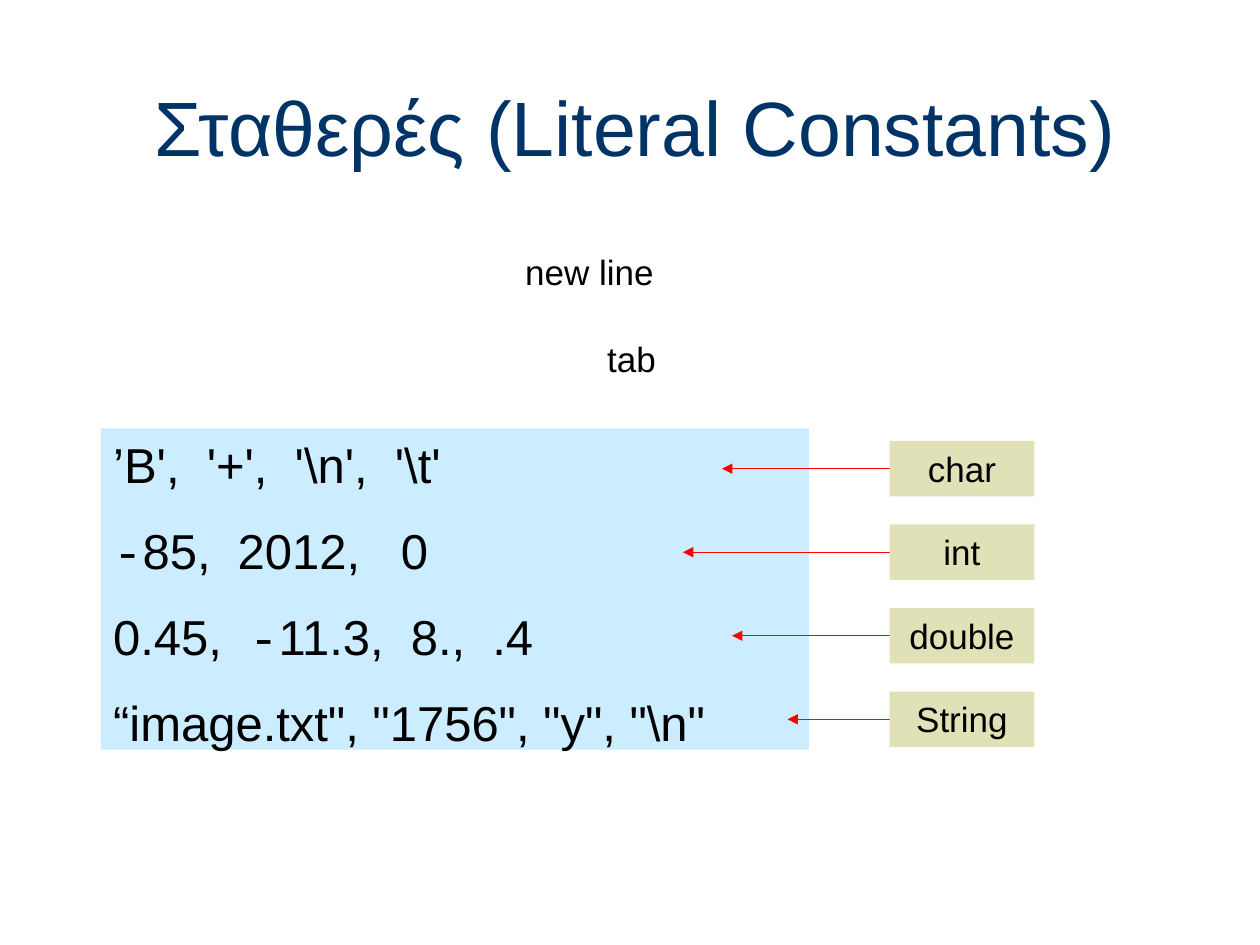
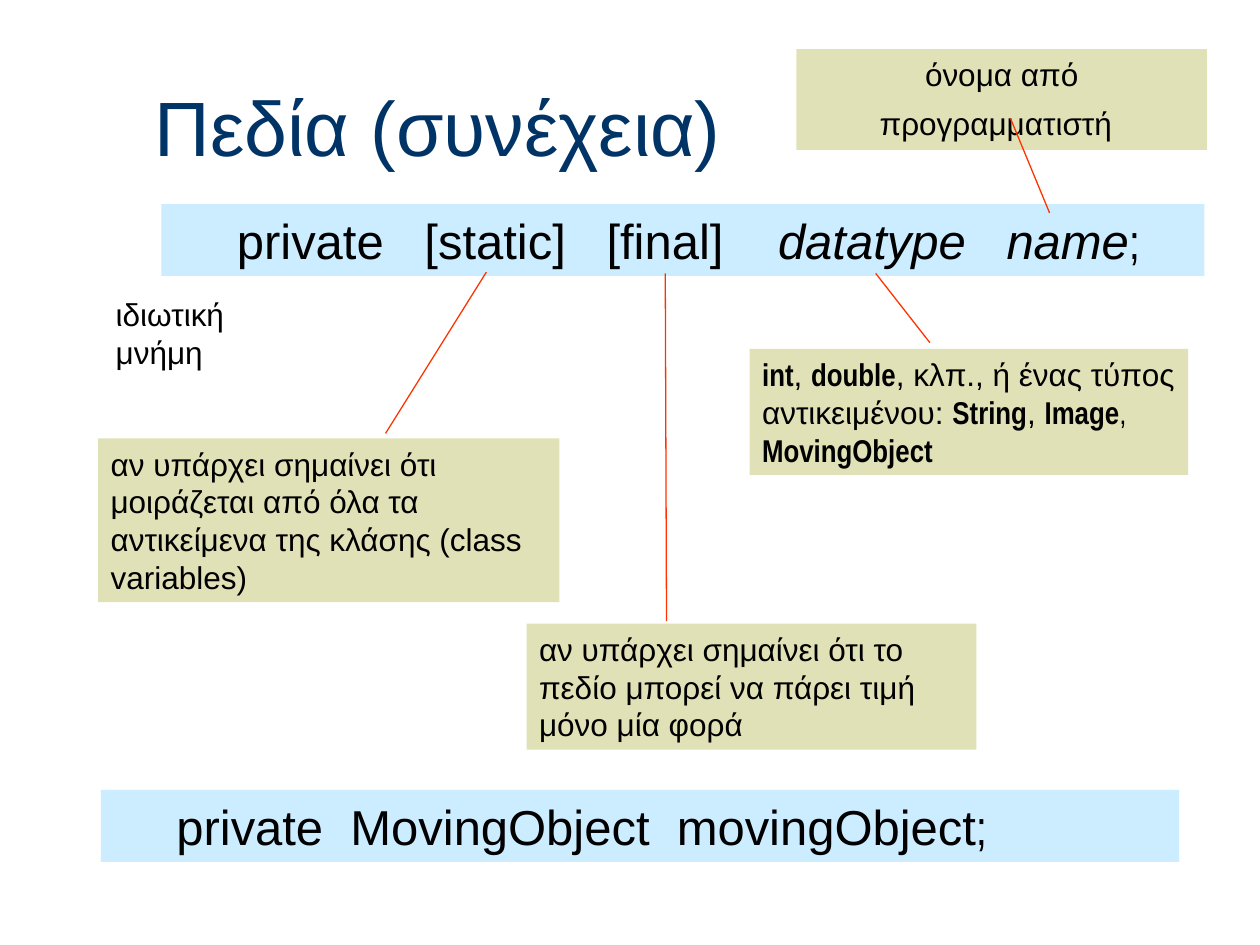
from lxml import etree
from pptx import Presentation
from pptx.dml.color import RGBColor
from pptx.enum import shapes, text
from pptx.oxml import ns
from pptx.util import Inches, Pt

NAVY = RGBColor(0x00, 0x33, 0x66)
BLACK = RGBColor(0x00, 0x00, 0x00)
SKY = RGBColor(0xCC, 0xEC, 0xFF)
SAND = RGBColor(0xE1, 0xE1, 0xB7)
RED = RGBColor(0xFF, 0x00, 0x00)
ORANGE = RGBColor(0xFF, 0x33, 0x00)

BASE = {"name": "Arial", "bold": False, "italic": False}
CODE = {"size": Pt(28)}
LABEL = {"size": Pt(20)}
NOTE = {"size": Pt(18)}
NARROW = {"name": "Arial Narrow"}
KEYWORD = {"name": "Arial Narrow", "bold": True}
DASH = ("-", {"name": "Courier New"})

FRAME = {
    "word_wrap": True,
    "auto_size": text.MSO_AUTO_SIZE.NONE,
    "margin_left": Inches(0.1),
    "margin_right": Inches(0.1),
    "margin_top": Inches(0.05),
    "margin_bottom": Inches(0.05),
}


def apply(target, *formats):
    for values in formats:
        for name, value in values.items():
            setattr(target, name, value)


def add_spans(para, spans, style, color=BLACK):
    for span in spans:
        words, extra = span if isinstance(span, tuple) else (span, {})
        run = para.add_run()
        run.text = words
        apply(run.font, BASE, style, extra)
        run.font.color.rgb = color


def add_box(page, area, paras, style, fill=None, align=text.PP_ALIGN.LEFT,
            gap=0, indent=0):
    box = page.shapes.add_shape(shapes.MSO_SHAPE.RECTANGLE, *map(Inches, area))
    box.shadow.inherit = False
    box.line.fill.background()
    if fill is None:
        box.fill.background()
    else:
        box.fill.solid()
        box.fill.fore_color.rgb = fill
    frame = box.text_frame
    apply(frame, FRAME, {"vertical_anchor": text.MSO_ANCHOR.TOP,
                         "margin_left": Inches(0.1 + indent)})
    for index, spans in enumerate(paras):
        para = frame.add_paragraph() if index else frame.paragraphs[0]
        para.alignment = align
        para.space_before = Pt(gap if index else 0)
        add_spans(para, spans, style)


def add_line(page, start, end, color, arrow=False):
    line = page.shapes.add_connector(
        shapes.MSO_CONNECTOR.STRAIGHT, *map(Inches, start + end))
    line.line.width = Pt(0.75)
    line.line.color.rgb = color
    if arrow:
        etree.SubElement(line.line._get_or_add_ln(), ns.qn("a:tailEnd"),
                         type="triangle")
    etree.SubElement(line._element.spPr, ns.qn("a:effectLst"))


def add_page(deck, title):
    page = deck.slides.add_slide(deck.slide_layouts[5])
    box = page.shapes.title
    apply(box, {"left": Inches(1.13), "top": Inches(0.53),
                "width": Inches(8.5), "height": Inches(0.94)})
    apply(box.text_frame, FRAME, {"vertical_anchor": text.MSO_ANCHOR.MIDDLE})
    para = box.text_frame.paragraphs[0]
    para.alignment = text.PP_ALIGN.LEFT
    add_spans(para, [title], {"size": Pt(44)}, NAVY)
    return page


def add_type_labels(page, left, top, pitch, rows):
    for index, (name, tip) in enumerate(rows):
        row_top = top + index * pitch
        middle = row_top + 0.22
        add_line(page, (tip + 1.68, middle), (tip, middle), RED, arrow=True)
        add_box(page, (left, row_top, 1.15, 0.44), [[name]], LABEL, SAND,
                text.PP_ALIGN.CENTER)


def build_constants(deck):
    page = add_page(deck, "Σταθερές (Literal Constants)")
    constants = [
        ["’B',  '+',  '\\n',  '\\t'"],
        [DASH, "85,  2012,   0"],
        ["0.45,  ", DASH, "11.3,  8.,  .4"],
        ["“image.txt\", \"1756\", \"y\", \"\\n\""],
    ]
    add_box(page, (0.8, 3.4, 5.62, 2.55), constants, CODE, SKY, gap=15.5)
    add_box(page, (4.07, 1.94, 1.36, 0.44), [["new line"]], LABEL)
    add_box(page, (4.72, 2.63, 0.67, 0.44), [["tab"]], LABEL)
    add_type_labels(page, 7.06, 3.5, 0.663, [
        ("char", 5.73), ("int", 5.42), ("double", 5.81), ("String", 6.25)])


def build_fields(deck):
    page = add_page(deck, "Πεδία (συνέχεια)")
    declarations = [
        ((1.28, 1.62, 8.28, 0.57),
         ["private   [static]   [final]    ",
          ("datatype   name", {"italic": True}), (";", NARROW)]),
        ((0.8, 6.27, 8.56, 0.57),
         ["private  MovingObject  movingObject", (";", NARROW)]),
    ]
    for area, spans in declarations:
        add_box(page, area, [spans], CODE, SKY, indent=0.5)

    add_box(page, (0.82, 2.29, 1.36, 0.7), [["ιδιωτική μνήμη"]], NOTE)
    add_box(page, (6.32, 0.39, 3.26, 0.8),
            [["όνομα από προγραμματιστή", (" ", {"size": Pt(24)})]],
            NOTE, SAND, text.PP_ALIGN.CENTER)
    notes = [
        ((0.78, 3.48, 3.66, 1.3),
         ["αν υπάρχει σημαίνει ότι μοιράζεται από όλα τα αντικείμενα "
          "της κλάσης (class variables)"]),
        ((4.18, 4.95, 3.57, 1),
         ["αν υπάρχει σημαίνει ότι το πεδίο μπορεί να πάρει τιμή "
          "μόνο μία φορά"]),
        ((5.95, 2.77, 3.48, 1),
         [("int", KEYWORD), ", ", ("double", KEYWORD),
          ", κλπ., ή ένας τύπος αντικειμένου: ", ("String", KEYWORD), ", ",
          ("Image", KEYWORD), (", ", NARROW), ("MovingObject", KEYWORD)]),
    ]
    for area, spans in notes:
        add_box(page, area, [spans], NOTE, SAND)

    pointers = [
        ((3.86, 2.16), (3.06, 3.44)),
        ((5.28, 2.17), (5.29, 4.93)),
        ((6.95, 2.17), (7.38, 2.72)),
        ((8.02, 0.94), (8.33, 1.69)),
    ]
    for start, end in pointers:
        add_line(page, start, end, ORANGE)


def main():
    deck = Presentation()
    apply(deck, {"slide_width": Inches(10), "slide_height": Inches(7.5)})
    build_constants(deck)
    build_fields(deck)
    deck.save("out.pptx")


if __name__ == "__main__":
    main()
